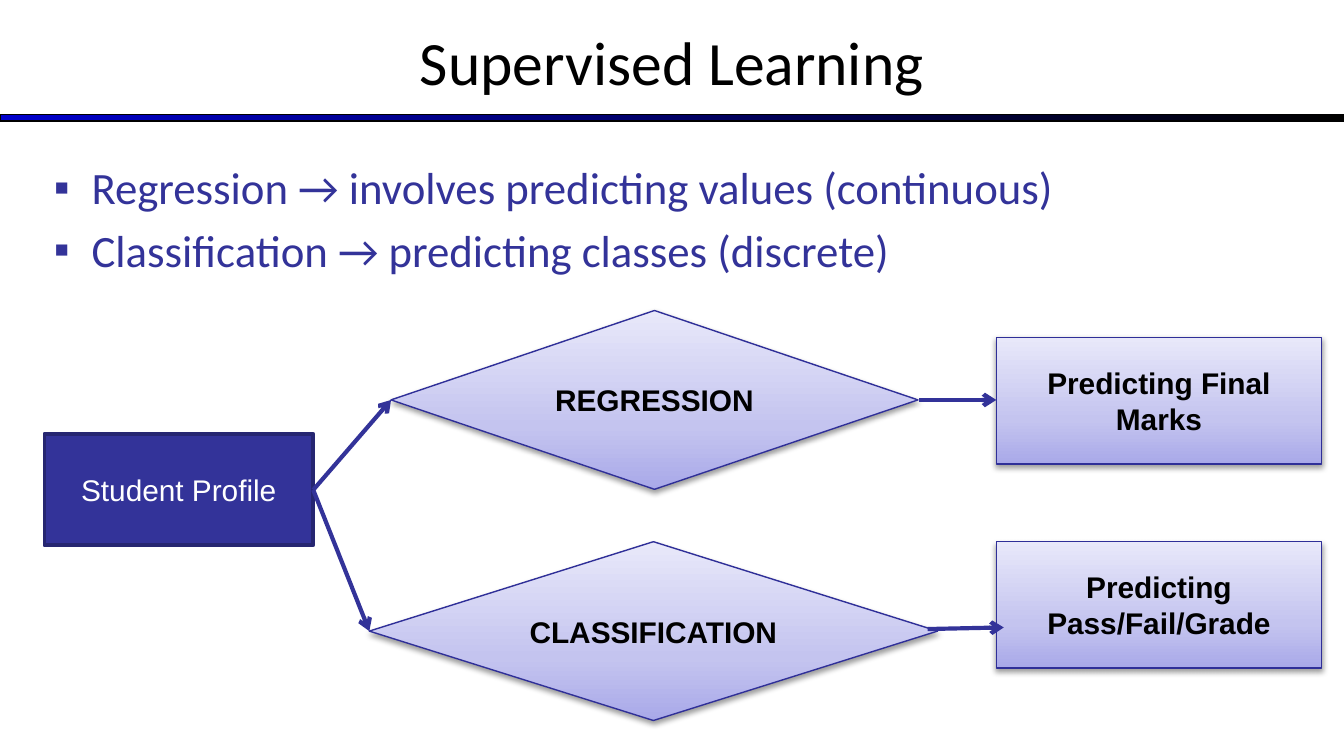
import lxml.etree
import pptx
import pptx.dml.color
import pptx.enum.shapes
import pptx.enum.text
import pptx.oxml
import pptx.oxml.ns
import pptx.util

Cm = pptx.util.Cm
Pt = pptx.util.Pt
RGBColor = pptx.dml.color.RGBColor
Shape = pptx.enum.shapes.MSO_SHAPE
CENTER = pptx.enum.text.PP_ALIGN.CENTER
MIDDLE = pptx.enum.text.MSO_ANCHOR.MIDDLE
TOP = pptx.enum.text.MSO_ANCHOR.TOP
qn = pptx.oxml.ns.qn
NS = 'xmlns:a="http://schemas.openxmlformats.org/drawingml/2006/main"'

BLACK = RGBColor(0x00, 0x00, 0x00)
WHITE = RGBColor(0xFF, 0xFF, 0xFF)
BLUE = RGBColor(0x00, 0x00, 0xCC)
INDIGO = RGBColor(0x33, 0x33, 0x99)
INDIGO_EDGE = RGBColor(0x26, 0x26, 0x71)
LILAC_EDGE = RGBColor(0x2F, 0x2F, 0x98)
LILAC_STOPS = [(0, RGBColor(0xA9, 0xA9, 0xE9)), (35, RGBColor(0xC4, 0xC4, 0xEF)),
               (100, RGBColor(0xE8, 0xE8, 0xFA))]

TITLE_FONT = {"name": "Calibri", "size": Pt(33), "bold": False}
LIST_FONT = {"name": "Calibri", "size": Pt(24), "bold": False}
PROFILE_FONT = {"name": "Arial", "size": Pt(16), "bold": False}
STEP_FONT = {"name": "Arial", "size": Pt(16), "bold": True}
INSETS = {"margin_left": Cm(0.18), "margin_right": Cm(0.18),
          "margin_top": Cm(0.1), "margin_bottom": Cm(0.1),
          "word_wrap": True, "auto_size": pptx.enum.text.MSO_AUTO_SIZE.NONE}


def write(para, text, font, color):
    span = para.add_run()
    span.text = text
    for key, value in font.items():
        setattr(span.font, key, value)
    span.font.color.rgb = color


def fill_gradient(box, stops, angle):
    """Fill with (percent, colour) stops; the angle runs counter-clockwise."""
    box.fill.gradient()
    box.fill.gradient_angle = angle
    stop_list = box.element.spPr.find(".//" + qn("a:gsLst"))
    for stop in list(stop_list):
        stop_list.remove(stop)
    for percent, color in stops:
        stop_list.append(pptx.oxml.parse_xml(
            f'<a:gs {NS} pos="{percent * 1000}"><a:srgbClr val="{color}"/></a:gs>'))


deck = pptx.Presentation()
deck.slide_width, deck.slide_height = Cm(25.4), Cm(14.29)
page = deck.slides.add_slide(deck.slide_layouts[1])

# Title and list
title, body = page.shapes.title, page.placeholders[1]
for box, frame, anchor in [(title, (0, -0.05, 25.4, 2.39), MIDDLE),
                           (body, (0.84, 2.92, 23.7, 9.86), TOP)]:
    box.left, box.top, box.width, box.height = map(Cm, frame)
    for key, value in INSETS.items():
        setattr(box.text_frame, key, value)
    box.text_frame.vertical_anchor = anchor

title.text_frame.paragraphs[0].alignment = CENTER
write(title.text_frame.paragraphs[0], "Supervised Learning", TITLE_FONT, BLACK)

items = ["Regression → involves predicting values (continuous)",
         "Classification → predicting classes (discrete)"]
body.text_frame.add_paragraph()
for para, item in zip(body.text_frame.paragraphs, items):
    write(para, item, LIST_FONT, INDIGO)
    props = para._p.get_or_add_pPr()
    props.set("marL", str(Cm(0.71)))
    props.set("indent", str(-Cm(0.71)))
    for bullet in [f'<a:buClr {NS}><a:srgbClr val="{INDIGO}"/></a:buClr>',
                   f'<a:buFont {NS} typeface="Arial"/>',
                   f'<a:buChar {NS} char="▪"/>']:
        props.append(pptx.oxml.parse_xml(bullet))

# Rule under the title
rule = page.shapes.add_shape(Shape.RECTANGLE, 0, Cm(2.16), Cm(25.4), Cm(0.13))
rule.shadow.inherit = False
fill_gradient(rule, [(0, BLUE), (100, BLACK)], 0)
rule.line.color.rgb = BLACK
rule.line.width = Pt(0.75)

# Flow chart boxes
DECISION, PROCESS = Shape.FLOWCHART_DECISION, Shape.FLOWCHART_PROCESS
boxes = [
    ("Student Profile", Shape.RECTANGLE, (0.84, 8.2, 5.08, 2.11)),
    ("REGRESSION", DECISION, (7.39, 5.87, 9.96, 3.38)),
    ("Predicting Final Marks", PROCESS, (18.83, 6.38, 6.15, 2.39)),
    ("Predicting Pass/Fail/Grade", PROCESS, (18.83, 10.24, 6.15, 2.39)),
    ("CLASSIFICATION", DECISION, (6.98, 10.24, 10.74, 3.38)),
]
for text, kind, frame in boxes:
    box = page.shapes.add_shape(kind, *map(Cm, frame))
    box.shadow.inherit = False
    box.text_frame.word_wrap = True
    box.text_frame.vertical_anchor = MIDDLE
    para = box.text_frame.paragraphs[0]
    para.alignment = CENTER
    if kind == Shape.RECTANGLE:
        box.fill.solid()
        box.fill.fore_color.rgb = INDIGO
        box.line.color.rgb = INDIGO_EDGE
        box.line.width = Pt(2)
        write(para, text, PROFILE_FONT, WHITE)
    else:
        fill_gradient(box, LILAC_STOPS, 90)
        box.line.color.rgb = LILAC_EDGE
        box.line.width = Pt(0.75)
        write(para, text, STEP_FONT, BLACK)
        box.element.spPr.find(qn("a:effectLst")).append(pptx.oxml.parse_xml(
            f'<a:outerShdw {NS} blurRad="{Pt(3.1)}" dist="{Pt(1.6)}" dir="5400000" '
            'rotWithShape="0"><a:srgbClr val="000000"><a:alpha val="38000"/>'
            '</a:srgbClr></a:outerShdw>'))

# Arrows
arrows = [
    (5.92, 9.26, 7.39, 7.56),
    (5.92, 9.26, 6.98, 11.93),
    (17.37, 7.56, 18.83, 7.56),
    (17.53, 11.89, 18.97, 11.86),
]
for ends in arrows:
    arrow = page.shapes.add_connector(
        pptx.enum.shapes.MSO_CONNECTOR.STRAIGHT, *map(Cm, ends))
    arrow.line.color.rgb = INDIGO
    arrow.line.width = Pt(2.25)
    lxml.etree.SubElement(arrow.line._get_or_add_ln(), qn("a:tailEnd"), type="arrow")
    lxml.etree.SubElement(arrow.element.spPr, qn("a:effectLst"))

deck.save("out.pptx")
